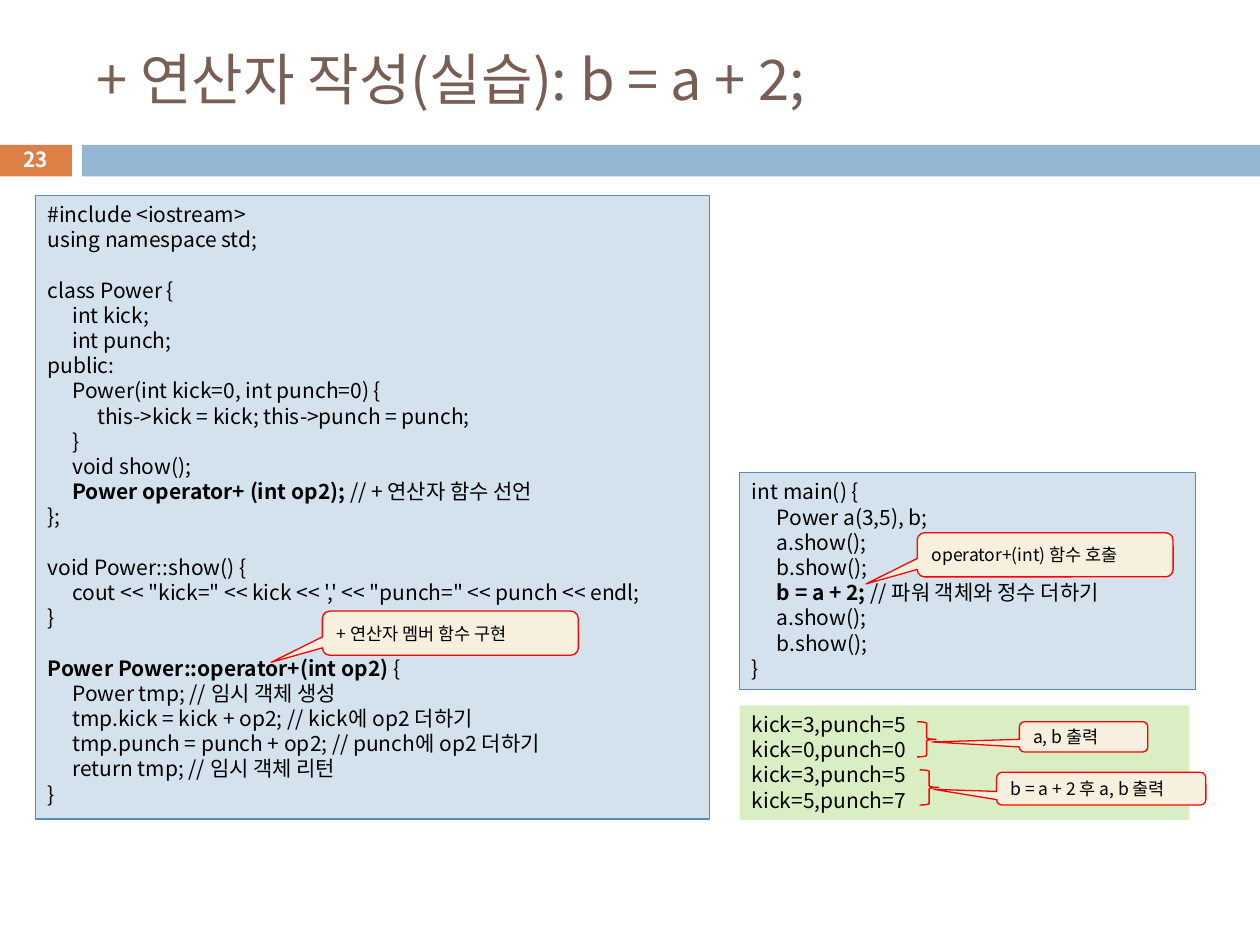
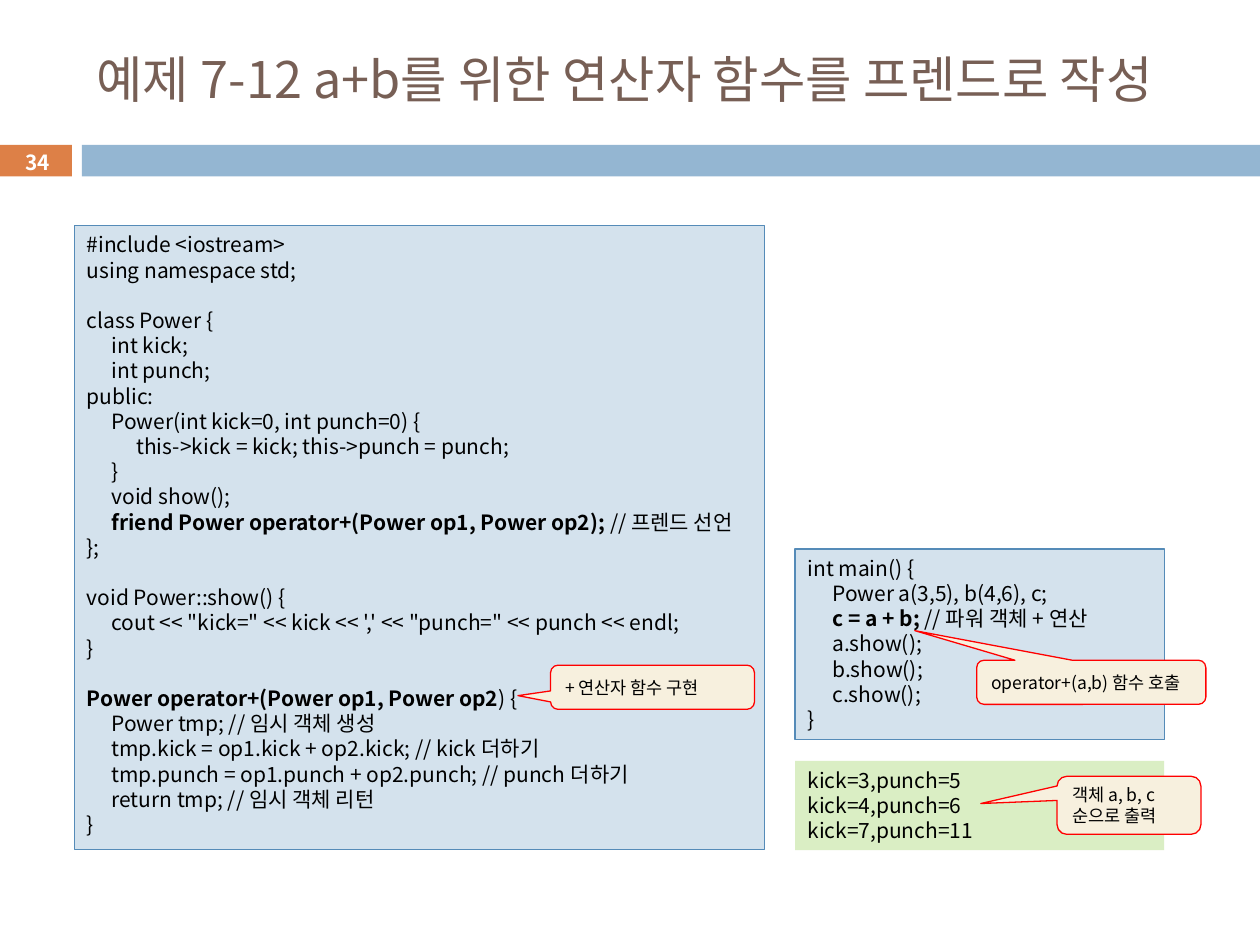
from lxml.etree import SubElement
from pptx import Presentation
from pptx.dml.color import RGBColor as RGB
from pptx.enum.shapes import MSO_SHAPE as Kind
from pptx.enum.text import MSO_ANCHOR as Anchor, PP_ALIGN as Align
from pptx.oxml.ns import qn
from pptx.util import Cm, Pt

FACE = "Noto Sans CJK KR"
BLACK, WHITE, BROWN = "000000", "FFFFFF", "775F55"
ORANGE, BLUE = "DD8047", "94B6D2"
PALE, EDGE, GREEN = "D4E2ED", "558BB8", "DAEEC4"
CREAM, RED = "F7F0DE", "FF0000"

CLASS = """#include <iostream>
using namespace std;

class Power {
\tint kick;
\tint punch;
public:
\tPower(int kick=0, int punch=0) {
\t\tthis->kick = kick; this->punch = punch;
\t}
\tvoid show();
"""
SHOW = """
};

void Power::show() {
\tcout << "kick=" << kick << ',' << "punch=" << punch << endl;
}

"""
TEMP = "\n\tPower tmp; // 임시 객체 생성\n"
END = "\n\treturn tmp; // 임시 객체 리턴\n}"

MEMBER = (CLASS + "\t**Power operator+ (int op2); **// + 연산자 함수 선언" + SHOW
          + "**Power Power::operator+(int op2) **{" + TEMP
          + "\ttmp.kick = kick + op2; // kick에 op2 더하기\n"
          + "\ttmp.punch = punch + op2; // punch에 op2 더하기" + END)
FRIEND = (CLASS + "\t**friend Power operator+(Power op1, Power op2);** // 프렌드 선언" + SHOW
          + "**Power operator+(Power op1, Power op2**) {" + TEMP
          + "\ttmp.kick = op1.kick + op2.kick; // kick 더하기\n"
          + "\ttmp.punch = op1.punch + op2.punch; // punch 더하기" + END)
MAIN_A = """int main() {
\tPower a(3,5), b;
\ta.show();
\tb.show();
\t**b = a + 2; **// 파워 객체와 정수 더하기
\ta.show();
\tb.show();
}"""
MAIN_B = """int main() {
\tPower a(3,5), b(4,6), c;
\t**c = a + b; **// 파워 객체 + 연산
\ta.show();
\tb.show();
\tc.show();
}"""
OUT_A = "kick=3,punch=5\nkick=0,punch=0\nkick=3,punch=5\nkick=5,punch=7"
OUT_B = "kick=3,punch=5\nkick=4,punch=6\nkick=7,punch=11"


def color(code):
    """Turn a hex string into a colour."""
    return RGB.from_string(code)


class Deck:
    """Hold the style and the current slide."""

    def __init__(self):
        """Start an empty deck."""
        self.prs = Presentation()
        self.prs.slide_width, self.prs.slide_height = Cm(25.4), Cm(19.05)

    def page(self, title, size, number, left, top):
        """Add a slide with its title, bands and number."""
        self.slide = self.prs.slides.add_slide(self.prs.slide_layouts[6])
        self.shape(Kind.RECTANGLE, (-0.02, 2.92, 1.47, 0.64), ORANGE)
        self.shape(Kind.RECTANGLE, (1.65, 2.92, 23.75, 0.64), BLUE)
        self.label((1.7, 0.64, 22.66, 1.88), title, size, BROWN)
        self.label((left, top, 1.47, 0.69), number, 11.9, WHITE, Align.CENTER, True)

    def label(self, at, text, size, ink, align=Align.LEFT, bold=None):
        """Add a text box."""
        box = self.slide.shapes.add_textbox(*map(Cm, at))
        self.words(box, text, size, ink, Anchor.MIDDLE, align, bold)

    def shape(self, kind, at, fill=None, line=None, width=0.75):
        """Add a preset shape."""
        item = self.slide.shapes.add_shape(kind, *map(Cm, at))
        item.shadow.inherit = False
        if fill:
            item.fill.solid()
            item.fill.fore_color.rgb = color(fill)
        else:
            item.fill.background()
        if line:
            item.line.color.rgb = color(line)
            item.line.width = Pt(width)
        else:
            item.line.fill.background()
        return item

    def words(self, item, text, size, ink=BLACK, anchor=Anchor.TOP, align=Align.LEFT, bold=None):
        """Fill a shape with lines, where ** marks bold and an empty line a gap."""
        frame = item.text_frame
        frame.word_wrap = True
        frame.vertical_anchor = anchor
        pitch = Pt(1.2 * size)
        para, gap = None, False
        for line in text.split("\n"):
            if not line:
                gap = True
                continue
            para = frame.add_paragraph() if para else frame.paragraphs[0]
            para.alignment = align
            para.line_spacing = pitch
            if gap:
                para.space_before = pitch
            gap = False
            if "\t" in line:
                self.tabs(para)
            self.font(para, size, ink, bold)
            for spot, part in enumerate(line.split("**")):
                if part:
                    run = para.add_run()
                    run.text = part
                    if spot % 2:
                        run.font.bold = True

    def tabs(self, para):
        """Set the two code indents."""
        stops = SubElement(para._p.get_or_add_pPr(), qn("a:tabLst"))
        for step in (1, 2):
            SubElement(stops, qn("a:tab"), pos=str(Cm(0.5 * step)), algn="l")

    def font(self, para, size, ink, bold):
        """Set the font of a paragraph."""
        font = para.font
        font.name, font.size, font.bold = FACE, Pt(size), bold
        font.color.rgb = color(ink)
        SubElement(para._p.pPr.find(qn("a:defRPr")), qn("a:ea"), typeface=FACE)

    def code(self, at, text):
        """Add a framed code panel."""
        self.words(self.shape(Kind.RECTANGLE, at, PALE, EDGE), text, 12)

    def result(self, at, text):
        """Add a panel with program output."""
        self.words(self.shape(Kind.RECTANGLE, at, GREEN), text, 12)

    def note(self, at, tip, text):
        """Add a callout whose tip is given as shares of its size."""
        item = self.shape(Kind.ROUNDED_RECTANGULAR_CALLOUT, at, CREAM, RED)
        item.adjustments[0], item.adjustments[1] = tip
        item.text_frame.margin_top = item.text_frame.margin_bottom = 0
        self.words(item, text, 10, anchor=Anchor.MIDDLE)

    def brace(self, left, top):
        """Add a right brace."""
        self.shape(Kind.RIGHT_BRACE, (left, top, 0.38, 0.71), line=RED, width=0.79)


def main():
    """Build both slides."""
    deck = Deck()

    deck.page("+ 연산자 작성(실습): b = a + 2;", 32, "23", -0.02, 2.87)
    deck.code((0.71, 3.94, 13.59, 12.57), MEMBER)
    deck.code((14.91, 9.53, 9.19, 4.37), MAIN_A)
    deck.result((14.91, 14.22, 9.07, 2.31), OUT_A)
    deck.note((20.55, 14.55, 2.59, 0.61), (-1.18, 0.17), "a, b 출력")
    deck.note((20.09, 15.57, 4.22, 0.66), (-0.8, 0.02), "b = a + 2 후 a, b 출력")
    deck.brace(18.49, 14.55)
    deck.brace(18.54, 15.52)
    deck.note((6.5, 12.32, 5.16, 0.89), (-0.7, 0.66), "+ 연산자 멤버 함수 구현")
    deck.note((18.49, 10.74, 5.16, 0.89), (-0.7, 0.66), "operator+(int) 함수 호출")

    deck.page("예제 7-12 a+b를 위한 연산자 함수를 프렌드로 작성", 28.8, "34", 0.03, 2.92)
    deck.code((1.5, 4.55, 13.92, 12.57), FRIEND)
    deck.code((16.03, 11.07, 7.44, 3.84), MAIN_B)
    deck.result((16.03, 15.34, 7.44, 1.8), OUT_B)
    deck.note((11.1, 13.41, 4.11, 0.89), (-0.66, 0.19), "+ 연산자 함수 구현")
    deck.note((21.31, 15.65, 2.9, 1.17), (-1.03, -0.03), "객체 a, b, c 순으로 출력")
    deck.note((19.69, 13.31, 4.62, 0.89), (-0.77, -1.17), "operator+(a,b) 함수 호출")

    deck.prs.save("out.pptx")


if __name__ == "__main__":
    main()
